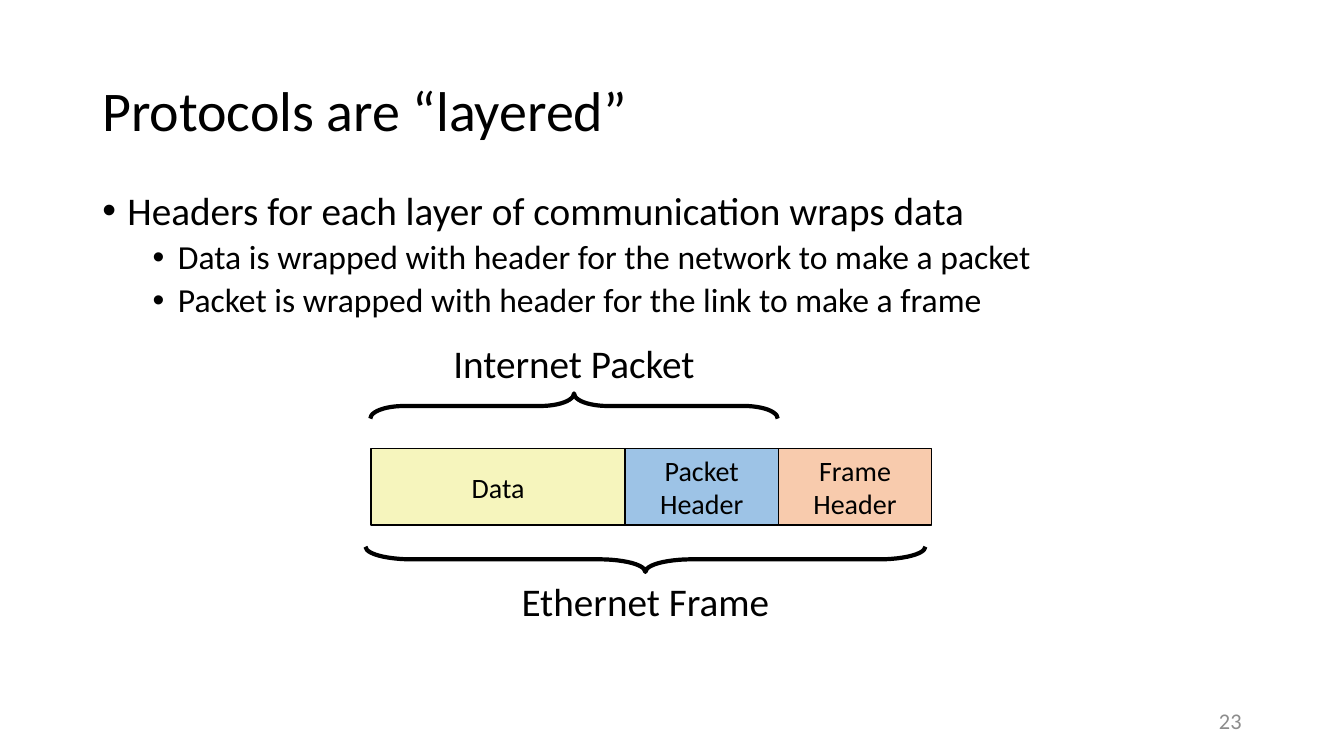
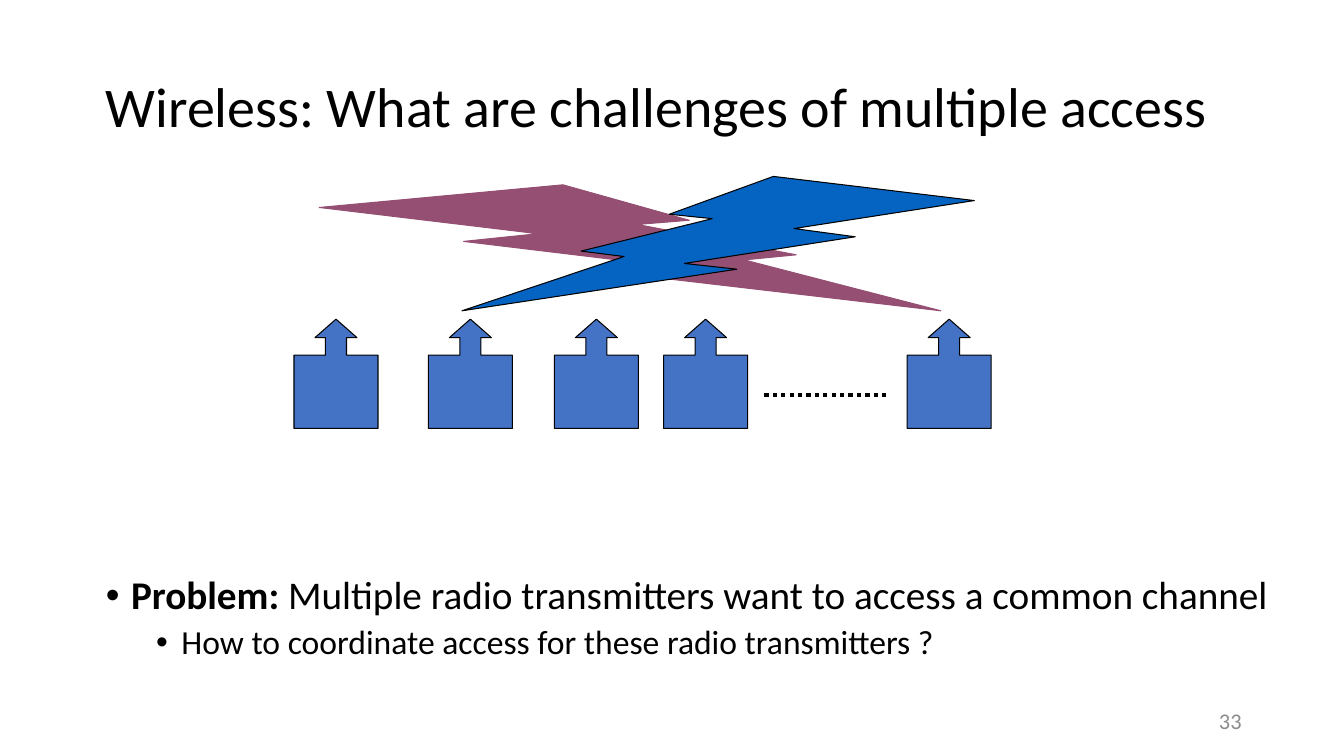
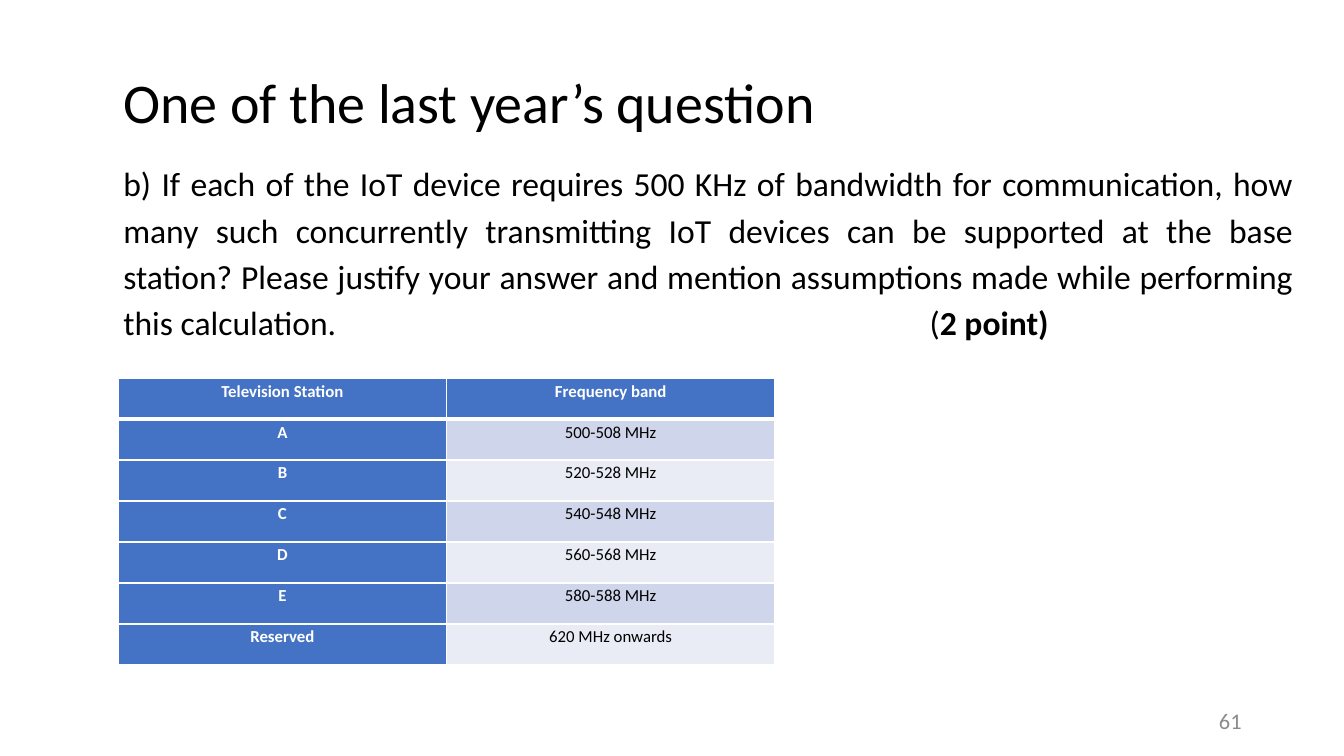
import dataclasses

import lxml.etree
import pptx
import pptx.dml.color
import pptx.enum.dml
import pptx.enum.shapes
import pptx.enum.text
import pptx.oxml.ns
import pptx.util

Pt = pptx.util.Pt
qn = pptx.oxml.ns.qn
SHAPE = pptx.enum.shapes.MSO_SHAPE
ALIGN = pptx.enum.text.PP_ALIGN
ANCHOR = pptx.enum.text.MSO_ANCHOR


@dataclasses.dataclass(frozen=True)
class Theme:
    font: str = "Calibri"
    bullet_font: str = "Arial"
    ink: str = "000000"
    paper: str = "FFFFFF"
    muted: str = "8C8C8C"
    accent: str = "4472C4"
    blue: str = "0563C1"
    plum: str = "954F72"
    data: str = "F6F5BD"
    packet: str = "9DC3E6"
    frame: str = "F8CBAD"
    bands: tuple = ("CFD5EA", "E9EBF5")
    title: int = 40
    body: int = 28
    sub: int = 24
    box: int = 20
    number: int = 16
    table: int = 12


def rgb(color):
    return pptx.dml.color.RGBColor.from_string(color)


def add_xml(parent, tag, **attrs):
    return lxml.etree.SubElement(parent, qn(tag), attrs)


class Deck:
    def __init__(self, theme):
        self.theme = theme
        self.prs = pptx.Presentation()
        self.prs.slide_width, self.prs.slide_height = Pt(960), Pt(540)
        self.s = None

    def slide(self, title, at, number):
        self.s = self.prs.slides.add_slide(self.prs.slide_layouts[6])
        p = self.text_box(at).paragraphs[0]
        self.set_text(p, title, self.theme.title, spacing=0.9)
        p = self.text_box((678, 500.5, 216, 28.75)).paragraphs[0]
        self.set_text(p, str(number), self.theme.number, self.theme.muted, ALIGN.RIGHT)

    def text_box(self, at, anchor=ANCHOR.MIDDLE, wrap=True):
        tf = self.s.shapes.add_textbox(*map(Pt, at)).text_frame
        tf.word_wrap = wrap
        tf.vertical_anchor = anchor
        return tf

    def set_text(self, p, text, size, color=None, align=None, spacing=None, bold=None):
        if isinstance(text, str):
            p.text = text
        else:
            for words, strong in text:
                r = p.add_run()
                r.text = words
                if strong:
                    r.font.bold = True
        p.alignment = align
        p.line_spacing = spacing
        p.font.name = self.theme.font
        p.font.size = Pt(size)
        p.font.bold = bold
        p.font.color.rgb = rgb(color or self.theme.ink)

    def bullets(self, at, items):
        tf = self.text_box(at, ANCHOR.TOP)
        for i, (level, text) in enumerate(items):
            p = tf.add_paragraph() if i else tf.paragraphs[0]
            p.level = level
            pPr = p._p.get_or_add_pPr()
            pPr.set("marL", str(Pt(18 + 36 * level)))
            pPr.set("indent", str(-Pt(18)))
            add_xml(pPr, "a:buFont", typeface=self.theme.bullet_font)
            add_xml(pPr, "a:buChar", char="•")
            if i:
                p.space_before = Pt(5 if level else 10)
            self.set_text(p, text, self.theme.sub if level else self.theme.body, spacing=0.9)

    def label(self, at, text):
        p = self.text_box(at, wrap=False).paragraphs[0]
        self.set_text(p, text, self.theme.body, align=ALIGN.CENTER)

    def shape(self, kind, at, fill=None, line=None, width=0.75, adj=()):
        sp = self.s.shapes.add_shape(kind, *map(Pt, at))
        sp.shadow.inherit = False
        if fill:
            sp.fill.solid()
            sp.fill.fore_color.rgb = rgb(fill)
        else:
            sp.fill.background()
        sp.line.color.rgb = rgb(line or self.theme.ink)
        sp.line.width = Pt(width)
        for i, value in enumerate(adj):
            sp.adjustments[i] = value
        return sp

    def box(self, at, text, fill):
        tf = self.shape(SHAPE.RECTANGLE, at, fill, width=1).text_frame
        tf.word_wrap = False
        tf.vertical_anchor = ANCHOR.MIDDLE
        self.set_text(tf.paragraphs[0], text, self.theme.box, align=ALIGN.CENTER)

    def brace(self, cx, cy, length, rotation, curve):
        at = (cx - 9, cy - length / 2, 18, length)
        sp = self.shape(SHAPE.LEFT_BRACE, at, width=3, adj=(curve, 0.5))
        sp.rotation = rotation

    def bolt(self, at, fill, line=None, flip=False):
        sp = self.shape(SHAPE.LIGHTNING_BOLT, at, fill, line)
        if flip:
            sp.element.spPr.xfrm.set("flipH", "1")

    def dots(self, x1, x2, y):
        cx = self.s.shapes.add_connector(
            pptx.enum.shapes.MSO_CONNECTOR.STRAIGHT, Pt(x1), Pt(y), Pt(x2), Pt(y))
        cx.line.color.rgb = rgb(self.theme.ink)
        cx.line.width = Pt(3)
        cx.line.dash_style = pptx.enum.dml.MSO_LINE.ROUND_DOT
        add_xml(cx.element.spPr, "a:effectLst")

    def borders(self, cell, top, bottom):
        tcPr = cell._tc.get_or_add_tcPr()
        for side, width in (("L", 1), ("R", 1), ("T", top), ("B", bottom)):
            ln = add_xml(tcPr, "a:ln" + side, w=str(Pt(width)))
            add_xml(add_xml(ln, "a:solidFill"), "a:srgbClr", val=self.theme.paper)

    def table(self, at, rows):
        t = self.theme
        table = self.s.shapes.add_table(len(rows), len(rows[0]), *map(Pt, at)).table
        for i, row in enumerate(rows):
            for j, text in enumerate(row):
                cell = table.cell(i, j)
                cell.margin_left = cell.margin_right = Pt(5)
                cell.margin_top = cell.margin_bottom = 0
                self.borders(cell, 3 if i == 1 else 1, 1 if i else 3)
                head = i == 0 or j == 0
                cell.fill.solid()
                cell.fill.fore_color.rgb = rgb(t.accent if head else t.bands[(i - 1) % 2])
                p = cell.text_frame.paragraphs[0]
                p.space_after = Pt(10)
                self.set_text(p, text, t.table, t.paper if head else t.ink,
                              ALIGN.CENTER, 1.15, head)

    def question(self, at, runs, tab):
        p = self.text_box(at).paragraphs[0]
        tabs = add_xml(p._p.get_or_add_pPr(), "a:tabLst")
        add_xml(tabs, "a:tab", pos=str(Pt(tab)), algn="l")
        self.set_text(p, runs, self.theme.sub, align=ALIGN.JUSTIFY, spacing=1.15)


def layers(d):
    t = d.theme
    d.slide("Protocols are “layered”", (66, 29, 828, 104), 23)
    d.bullets((66, 133, 828, 343), [
        (0, "Headers for each layer of communication wraps data"),
        (1, "Data is wrapped with header for the network to make a packet"),
        (1, "Packet is wrapped with header for the link to make a frame"),
    ])
    x = 265
    for text, width, fill in (("Data", 181.5, t.data),
                              ("Packet\nHeader", 109.5, t.packet),
                              ("Frame\nHeader", 109.5, t.frame)):
        d.box((x, 320.5, width, 54.5), text, fill)
        x += width
    d.brace(410, 290, 291, 90, 1.33)
    d.label((307.5, 238.5, 205, 41), "Internet Packet")
    d.brace(461, 399.5, 400, 270, 1.83)
    d.label((357, 409, 208, 41), "Ethernet Frame")


def wireless(d):
    t = d.theme
    d.slide("Wireless: What are challenges of multiple access", (68.5, 26, 828, 104), 33)
    d.bullets((68.5, 408, 863, 78), [
        (0, [("Problem: ", True),
             ("Multiple radio transmitters want to access a common channel", False)]),
        (1, "How to coordinate access for these radio transmitters ?"),
    ])
    for x in (210, 306, 396, 474, 648):
        d.shape(SHAPE.UP_ARROW_CALLOUT, (x, 228, 60, 78), t.accent,
                adj=(0.25, 0.25, 0.22, 0.67))
    d.dots(546, 636, 282)
    d.bolt((228, 132, 444, 90), t.plum, t.plum)
    d.bolt((330, 126, 366, 96), t.blue, flip=True)


def exam(d):
    d.slide("One of the last year’s question", (81, 17, 813, 117), 61)
    stations = [(name, f"{low}-{low + 8} MHz")
                for name, low in zip("ABCDE", range(500, 600, 20))]
    d.table((84.5, 270, 469, 205.1), [
        ("Television Station", "Frequency band"),
        *stations,
        ("Reserved", "620 MHz onwards"),
    ])
    d.question((81, 109, 850, 139), [
        ("b) If each of the IoT device requires 500 KHz of bandwidth for communication, "
         "how many such concurrently transmitting IoT devices can be supported at the "
         "base station? Please justify your answer and mention assumptions made while "
         "performing this calculation.\t(", False),
        ("2 point)", True),
    ], 576)


def main():
    d = Deck(Theme())
    for build in (layers, wireless, exam):
        build(d)
    d.prs.save("out.pptx")


if __name__ == "__main__":
    main()
